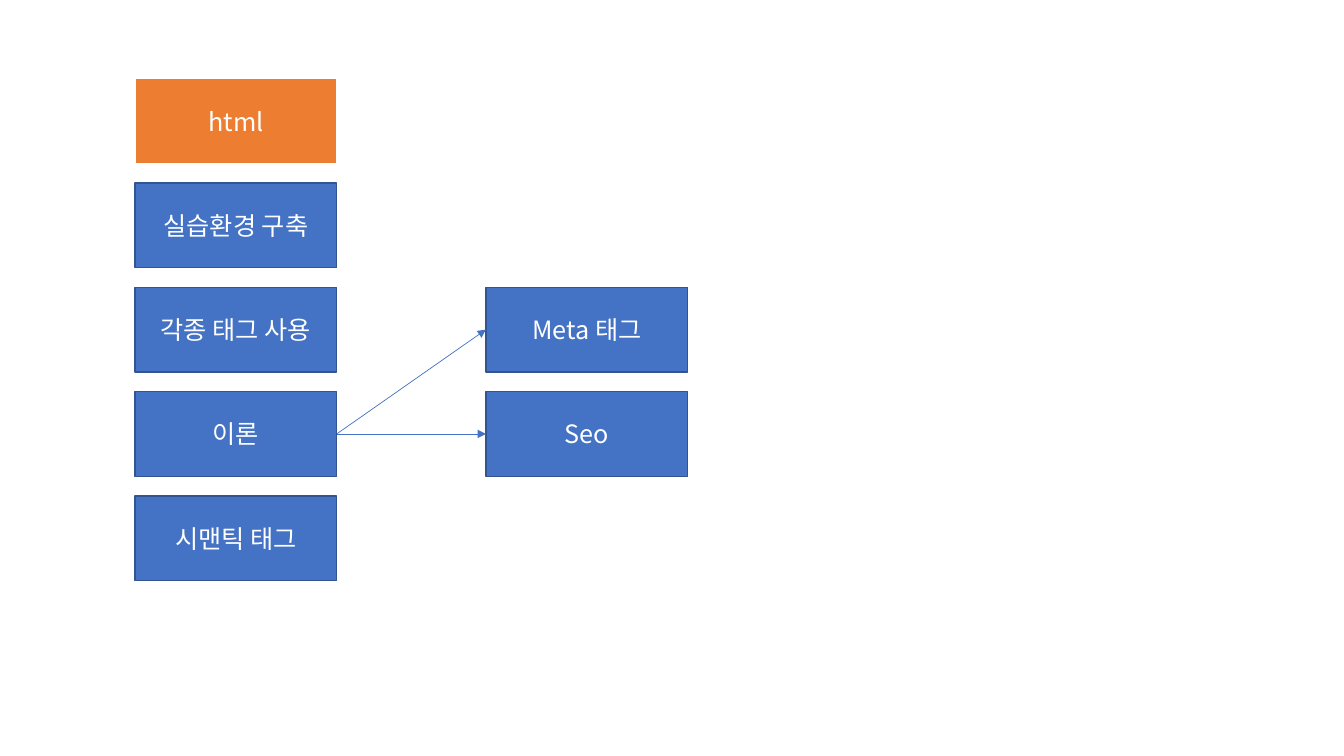
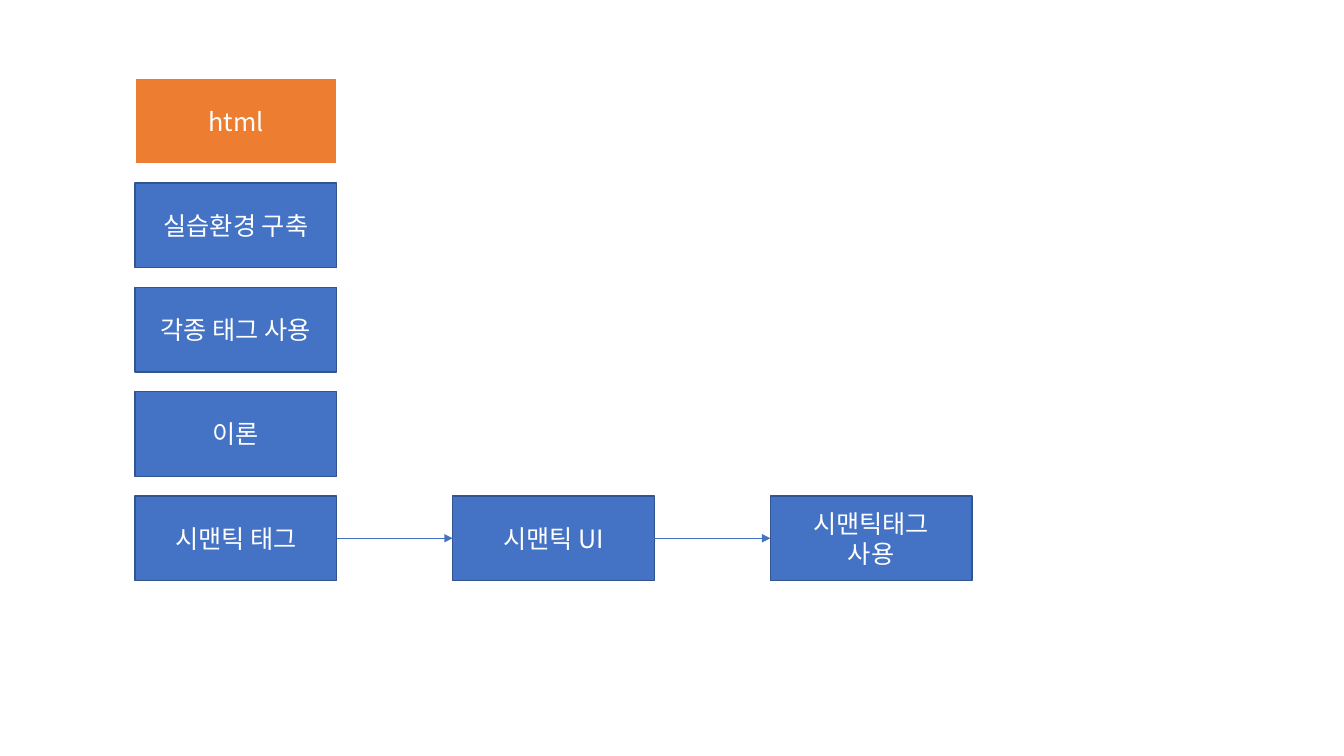
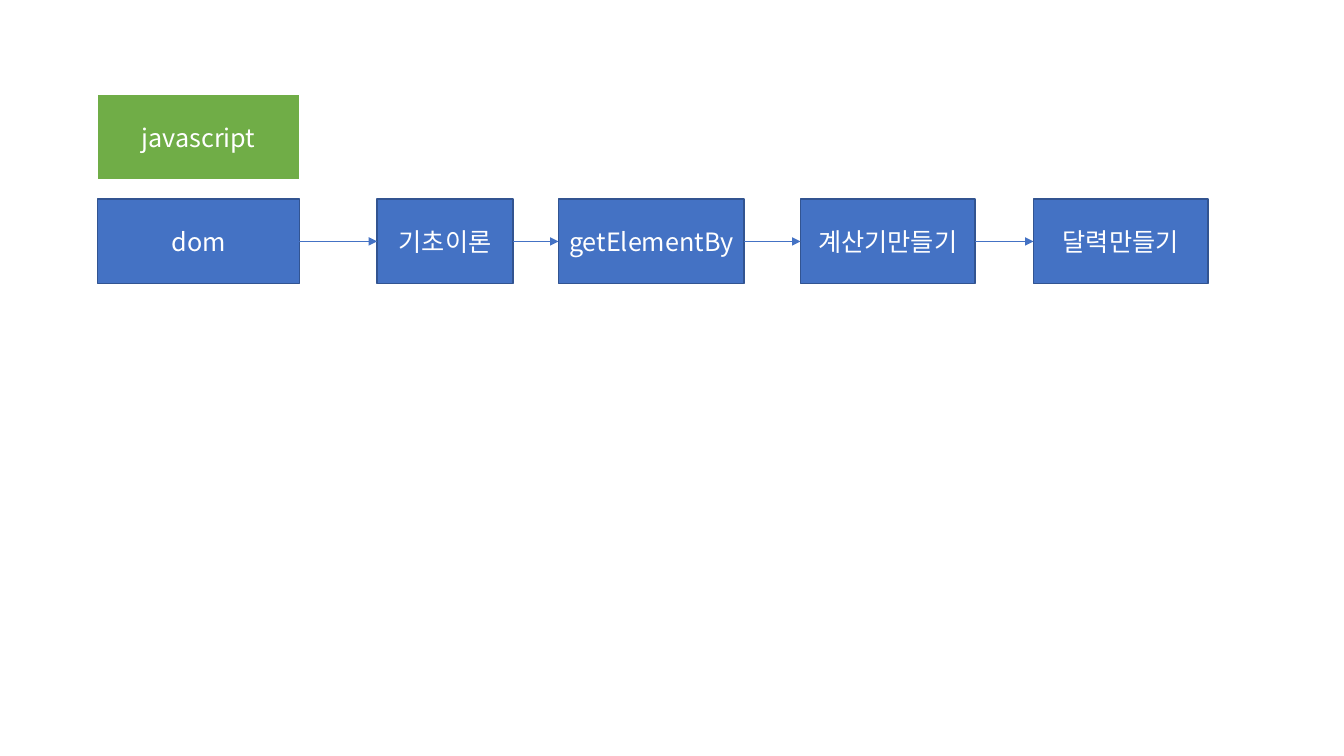
from dataclasses import dataclass
from pptx import Presentation
from pptx.dml.color import RGBColor
from pptx.enum import shapes, text
from pptx.oxml.ns import qn
from pptx.util import Inches, Pt
from lxml import etree

# Content: columns of boxes, then side boxes as (label, left, width, row),
# and arrows as (from, to) label pairs
HTML = ["html", "실습환경 구축", "각종 태그 사용", "이론", "시맨틱 태그"]
USE = "시맨틱태그\n사용"

SLIDES = [
    {"at": (1.34, 0.78), "head": "ED7D31", "column": HTML,
     "side": [("Meta 태그", 4.82, 2, 2), ("Seo", 4.82, 2, 3)],
     "arrows": [("이론", "Meta 태그"), ("이론", "Seo")]},
    {"at": (1.34, 0.78), "head": "ED7D31", "column": HTML,
     "side": [("시맨틱 UI", 4.49, 2, 4), (USE, 7.64, 2, 4)],
     "arrows": [("시맨틱 태그", "시맨틱 UI"), ("시맨틱 UI", USE)]},
    {"at": (0.97, 0.94), "head": "70AD47", "column": ["javascript", "dom"],
     "side": [("기초이론", 3.74, 1.35, 1), ("getElementBy", 5.54, 1.84, 1),
              ("계산기만들기", 7.94, 1.73, 1), ("달력만들기", 10.25, 1.73, 1)],
     "arrows": [("dom", "기초이론"), ("기초이론", "getElementBy"),
                ("getElementBy", "계산기만들기"),
                ("계산기만들기", "달력만들기")]},
]


@dataclass(frozen=True)
class Theme:
    font: str = "Noto Sans CJK KR"
    size: float = 18
    white: str = "FFFFFF"
    fill: str = "4472C4"
    edge: str = "325491"
    border: float = 1
    arrow: float = 0.5


THEME = Theme()
WIDTH, HEIGHT = 2, 0.84
PITCH = (4.92 - 0.78) / 4  # five rows between the first and last tops
LEFT, RIGHT = 1, 3         # connection sites of a rectangle


def color(code):
    return RGBColor.from_string(code)


def add_box(slide, label, left, top, width=WIDTH, fill=THEME.fill,
            edge=THEME.edge):
    box = slide.shapes.add_shape(
        shapes.MSO_SHAPE.RECTANGLE, Inches(left), Inches(top),
        Inches(width), Inches(HEIGHT))
    box.shadow.inherit = False
    box.fill.solid()
    box.fill.fore_color.rgb = color(fill)
    box.line.color.rgb = color(edge)
    box.line.width = Pt(THEME.border)
    frame = box.text_frame
    frame.text = label
    frame.word_wrap = True
    frame.vertical_anchor = text.MSO_ANCHOR.MIDDLE
    frame.margin_left = frame.margin_right = Inches(0.05)
    for para in frame.paragraphs:
        para.alignment = text.PP_ALIGN.CENTER
        for run in para.runs:
            run.font.name = THEME.font
            run.font.size = Pt(THEME.size)
            run.font.color.rgb = color(THEME.white)
            # Hangul takes the East Asian face
            east = etree.SubElement(run.font._element, qn("a:ea"))
            east.set("typeface", THEME.font)
    return box


def add_arrow(slide, start, end):
    link = slide.shapes.add_connector(
        shapes.MSO_CONNECTOR.STRAIGHT, 0, 0, 0, 0)
    link.begin_connect(start, RIGHT)
    link.end_connect(end, LEFT)
    link.line.color.rgb = color(THEME.fill)
    link.line.width = Pt(THEME.arrow)
    tip = etree.SubElement(link.line._get_or_add_ln(), qn("a:tailEnd"))
    tip.set("type", "triangle")
    etree.SubElement(link._element.spPr, qn("a:effectLst"))


def build(deck, plan):
    slide = deck.slides.add_slide(deck.slide_layouts[6])
    left, top = plan["at"]
    head, *rest = plan["column"]
    boxes = {}
    # Heading and the column below it
    add_box(slide, head, left, top, fill=plan["head"], edge=THEME.white)
    for row, label in enumerate(rest, 1):
        boxes[label] = add_box(slide, label, left, top + row * PITCH)
    # Side boxes share the rows of the column
    for label, side, width, row in plan["side"]:
        boxes[label] = add_box(slide, label, side, top + row * PITCH, width)
    for start, end in plan["arrows"]:
        add_arrow(slide, boxes[start], boxes[end])


def main():
    deck = Presentation()
    deck.slide_width, deck.slide_height = Inches(13.33), Inches(7.5)
    for plan in SLIDES:
        build(deck, plan)
    deck.save("out.pptx")


if __name__ == "__main__":
    main()
